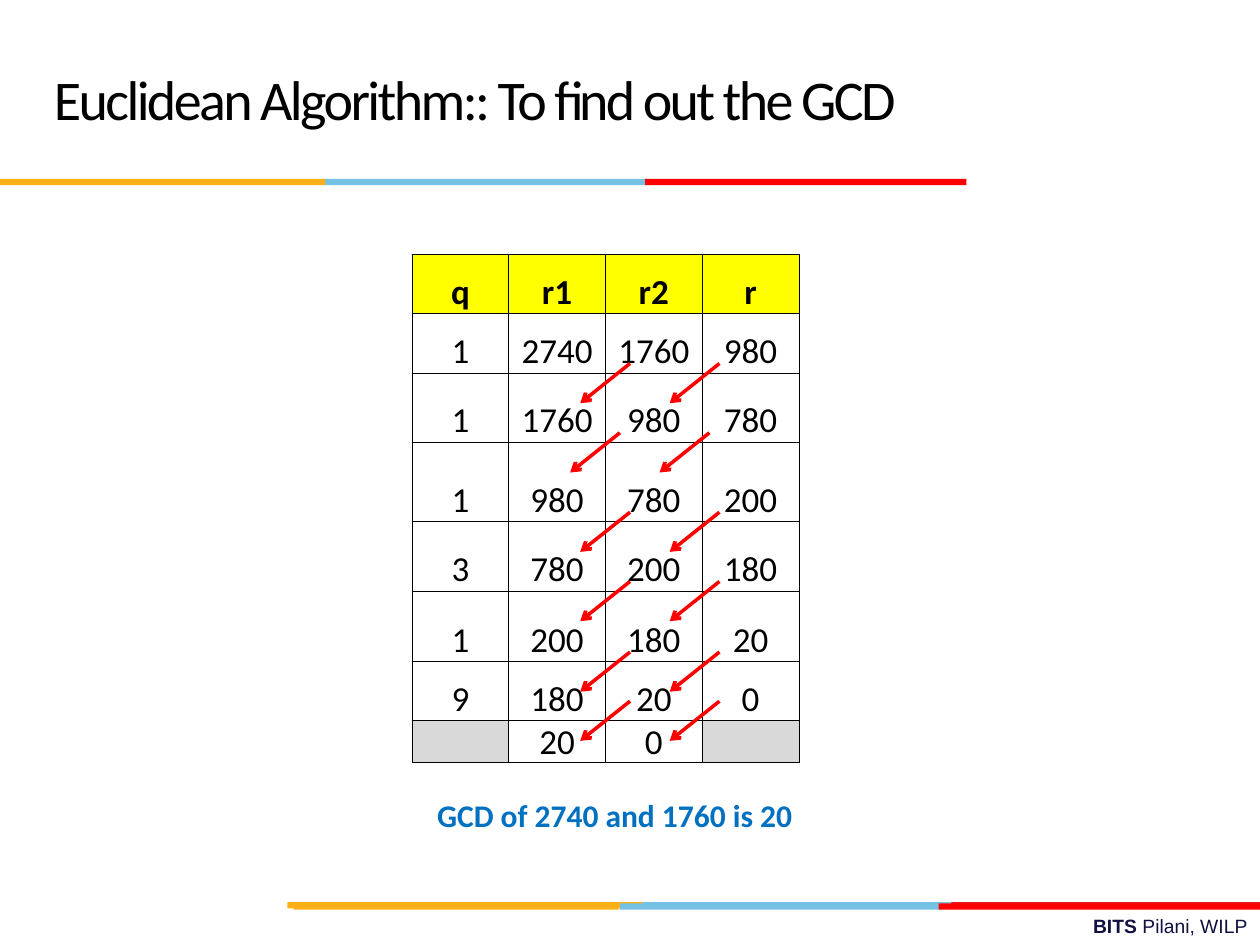
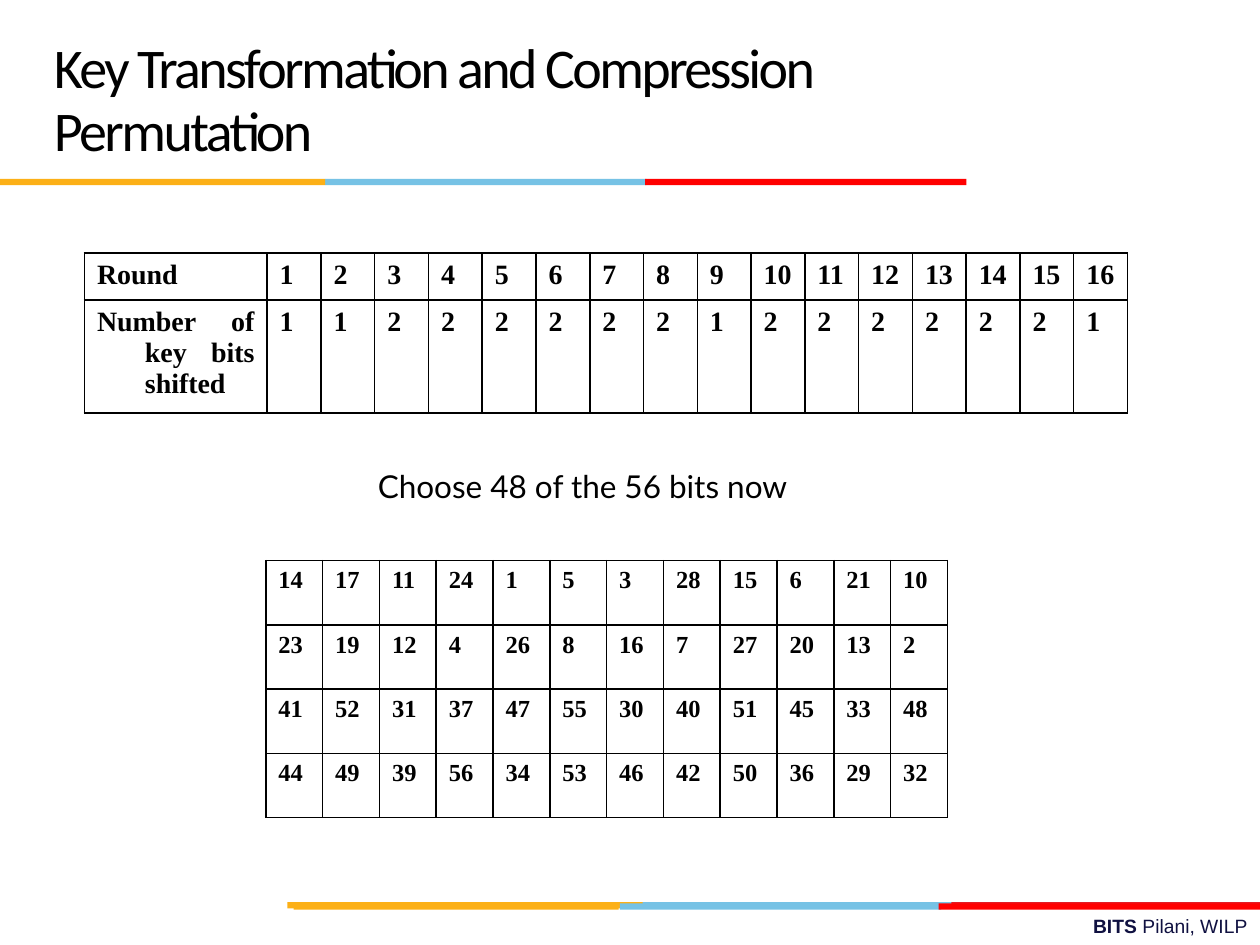
from itertools import accumulate

from lxml import etree
from pptx import Presentation
from pptx.dml.color import RGBColor
from pptx.enum.shapes import MSO_CONNECTOR, MSO_SHAPE
from pptx.enum.text import MSO_ANCHOR, MSO_AUTO_SIZE, PP_ALIGN
from pptx.oxml.ns import qn
from pptx.util import Inches, Pt

RECTANGLE, STRAIGHT = MSO_SHAPE.RECTANGLE, MSO_CONNECTOR.STRAIGHT
TOP, MIDDLE, BOTTOM = MSO_ANCHOR.TOP, MSO_ANCHOR.MIDDLE, MSO_ANCHOR.BOTTOM
LEFT, CENTER, RIGHT = PP_ALIGN.LEFT, PP_ALIGN.CENTER, PP_ALIGN.RIGHT
JUSTIFY = PP_ALIGN.JUSTIFY

# The slide is a grid of 100 columns by 75 rows with square units
WIDTH, HEIGHT = Inches(10), Inches(7.5)
UNIT = WIDTH // 100

COLOURS = {
    "ink": "000000", "navy": "101141", "blue": "0070C0", "yellow": "FFFF00",
    "grey": "D9D9D9", "amber": "FCB017", "sky": "76C2E5", "red": "FF0000",
    "crimson": "E31C24",
}

# Band: top, then (left, width, colour) of each stripe
BAND_DEPTH = 0.5
BANDS = [
    (71.6, [(50.6, 25.5, "sky"), (75.5, 24.5, "crimson"), (22.8, 28.2, "amber")]),
    (71.7, [(49.2, 25.5, "sky"), (23.3, 25.8, "amber"), (74.5, 25.5, "red")]),
    (14.2, [(25.8, 25.5, "sky"), (0, 25.8, "amber"), (51.2, 25.5, "red")]),
]

# Division steps: row height and values q, r1, r2, r
STEPS = [
    (4.7, ["q", "r1", "r2", "r"]),
    (4.7, ["1", "2740", "1760", "980"]),
    (5.5, ["1", "1760", "980", "780"]),
    (6.3, ["1", "980", "780", "200"]),
    (5.5, ["3", "780", "200", "180"]),
    (5.6, ["1", "200", "180", "20"]),
    (4.7, ["9", "180", "20", "0"]),
    (3.3, ["", "20", "0", ""]),
]
STEPS_LEFT, STEPS_TOP, STEP_COLUMN = 32.7, 20.2, 7.68
ARROW_STARTS = (50, 57.1)
ARROW_RUN, ARROW_DROP, ARROW_LIFT = 3.95, 3.15, 0.75
ARROW_NUDGES = {1: (-0.8, 0), 5: (0, -0.8)}

ROUNDS = range(1, 17)
SINGLE_SHIFT_ROUNDS = {1, 2, 9, 16}
COMPRESSION = [
    [14, 17, 11, 24, 1, 5, 3, 28, 15, 6, 21, 10],
    [23, 19, 12, 4, 26, 8, 16, 7, 27, 20, 13, 2],
    [41, 52, 31, 37, 47, 55, 30, 40, 51, 45, 33, 48],
    [44, 49, 39, 56, 34, 53, 46, 42, 50, 36, 29, 32],
]


def grid(*units):
    return [round(unit * UNIT) for unit in units]


def rgb(colour):
    return RGBColor.from_string(COLOURS[colour])


def add_run(paragraph, text, font, size, colour="ink", bold=False, tracking=None):
    run = paragraph.add_run()
    run.text = text
    run.font.name, run.font.size, run.font.bold = font, Pt(size), bold
    run.font.color.rgb = rgb(colour)
    if tracking is not None:
        run.font._element.set("spc", str(round(tracking * 100)))


def add_text(slide, area, align=LEFT, anchor=TOP, grow=True):
    """Add an empty text box and return its first paragraph."""
    frame = slide.shapes.add_textbox(*grid(*area)).text_frame
    frame.word_wrap = True
    frame.vertical_anchor = anchor
    frame.auto_size = MSO_AUTO_SIZE.SHAPE_TO_FIT_TEXT if grow else MSO_AUTO_SIZE.NONE
    paragraph = frame.paragraphs[0]
    paragraph.alignment = align
    return paragraph


def add_stripe(slide, area, colour):
    stripe = slide.shapes.add_shape(RECTANGLE, *grid(*area))
    stripe.shadow.inherit = False
    stripe.fill.solid()
    stripe.fill.fore_color.rgb = rgb(colour)
    stripe.line.fill.background()


def add_arrow(slide, x, y):
    arrow = slide.shapes.add_connector(
        STRAIGHT, *grid(x, y, x - ARROW_RUN, y + ARROW_DROP))
    arrow.line.color.rgb = rgb("red")
    arrow.line.width = Pt(2)
    etree.SubElement(arrow.line._get_or_add_ln(), qn("a:tailEnd"), type="arrow")
    etree.SubElement(arrow._element.spPr, qn("a:effectLst"))


def border_cell(cell, points):
    properties = cell._tc.get_or_add_tcPr()
    for position, side in enumerate(("lnL", "lnR", "lnT", "lnB")):
        edge = etree.Element(qn(f"a:{side}"), w=str(Pt(points)))
        fill = etree.SubElement(edge, qn("a:solidFill"))
        etree.SubElement(fill, qn("a:srgbClr"), val=COLOURS["ink"])
        properties.insert(position, edge)


def add_grid_table(slide, left, top, columns, heights, values, fill_cell, border):
    """Add a ruled table; fill_cell styles and fills each cell."""
    area = grid(left, top, sum(columns), sum(heights))
    table = slide.shapes.add_table(len(heights), len(columns), *area).table
    table.first_row = table.horz_banding = False
    for column, width in zip(table.columns, grid(*columns)):
        column.width = width
    for row, height, texts in zip(table.rows, grid(*heights), values):
        row.height = height
        for cell, text in zip(row.cells, texts):
            cell.fill.background()
            fill_cell(cell, str(text))
            border_cell(cell, border)


def fill_step_cell(cell, text):
    heading = text.isalnum() and not text.isdigit()
    cell.margin_left = cell.margin_right = cell.margin_top = cell.margin_bottom = 0
    cell.vertical_anchor = BOTTOM
    if heading or not text:
        cell.fill.solid()
        cell.fill.fore_color.rgb = rgb("yellow" if heading else "grey")
    if text:
        paragraph = cell.text_frame.paragraphs[0]
        paragraph.alignment = CENTER
        add_run(paragraph, text, "Calibri", 20, bold=heading)


def bit_cell_filler(size):
    def fill_bit_cell(cell, text):
        paragraph = cell.text_frame.paragraphs[0]
        paragraph.alignment = JUSTIFY
        hanging = Inches(0.38)
        properties = paragraph._p.get_or_add_pPr()
        properties.set("marL", str(hanging))
        properties.set("indent", str(-hanging))
        add_run(paragraph, text, "Times New Roman", size, bold=True)
    return fill_bit_cell


def add_framed_slide(deck, title):
    """Add a slide with the shared footer, bands and title style."""
    slide = deck.slides.add_slide(deck.slide_layouts[6])
    footer = add_text(slide, (35.8, 72.1, 64.2, 2.9), RIGHT)
    add_run(footer, "BITS ", "Arial", 11, "navy", bold=True)
    add_run(footer, "Pilani, WILP", "Arial", 11, "navy")
    for top, stripes in BANDS:
        for left, width, colour in stripes:
            add_stripe(slide, (left, top, width, BAND_DEPTH), colour)
    heading = add_text(slide, (3.3, 1.7, 69.2, 12.5), anchor=MIDDLE, grow=False)
    heading.line_spacing = Pt(36)
    add_run(heading, title, "Calibri", 32, tracking=-1.5)
    return slide


def build_euclid_slide(deck):
    slide = add_framed_slide(deck, "Euclidean Algorithm:: To find out the GCD")
    edges = list(accumulate((height for height, _ in STEPS), initial=STEPS_TOP))
    # Every step is its own one-row table, stacked below the one before
    for top, (height, values) in zip(edges, STEPS):
        add_grid_table(slide, STEPS_LEFT, top, [STEP_COLUMN] * 4, [height],
                       [values], fill_step_cell, 0.5)
    # r2 and r move one column left in the next step
    for step, bottom in enumerate(edges[2:-1]):
        nudge_x, nudge_y = ARROW_NUDGES.get(step, (0, 0))
        for start in ARROW_STARTS:
            add_arrow(slide, start + nudge_x, bottom - ARROW_LIFT + nudge_y)
    result = add_text(slide, (31.1, 62.7, 35.4, 4), CENTER)
    add_run(result, "GCD of 2740 and 1760 is 20", "Calibri", 18, "blue", bold=True)


def build_key_slide(deck):
    slide = add_framed_slide(deck, "Key Transformation and Compression Permutation")
    shifts = [1 if number in SINGLE_SHIFT_ROUNDS else 2 for number in ROUNDS]
    schedule = [["Round", *ROUNDS], ["Number of key bits shifted", *shifts]]
    add_grid_table(slide, 6.7, 20.1, [14.5] + [4.27] * len(ROUNDS), [3.7, 9],
                   schedule, bit_cell_filler(16), 1)
    add_grid_table(slide, 21.1, 44.5, [4.51] * 12, [5.1] * 4,
                   COMPRESSION, bit_cell_filler(14), 1)
    instruction = add_text(slide, (29, 36.6, 38.3, 4))
    add_run(instruction, "Choose 48 of the 56 bits now", "Lato", 18)


def main():
    deck = Presentation()
    deck.slide_width, deck.slide_height = WIDTH, HEIGHT
    build_euclid_slide(deck)
    build_key_slide(deck)
    deck.save("out.pptx")


if __name__ == "__main__":
    main()
